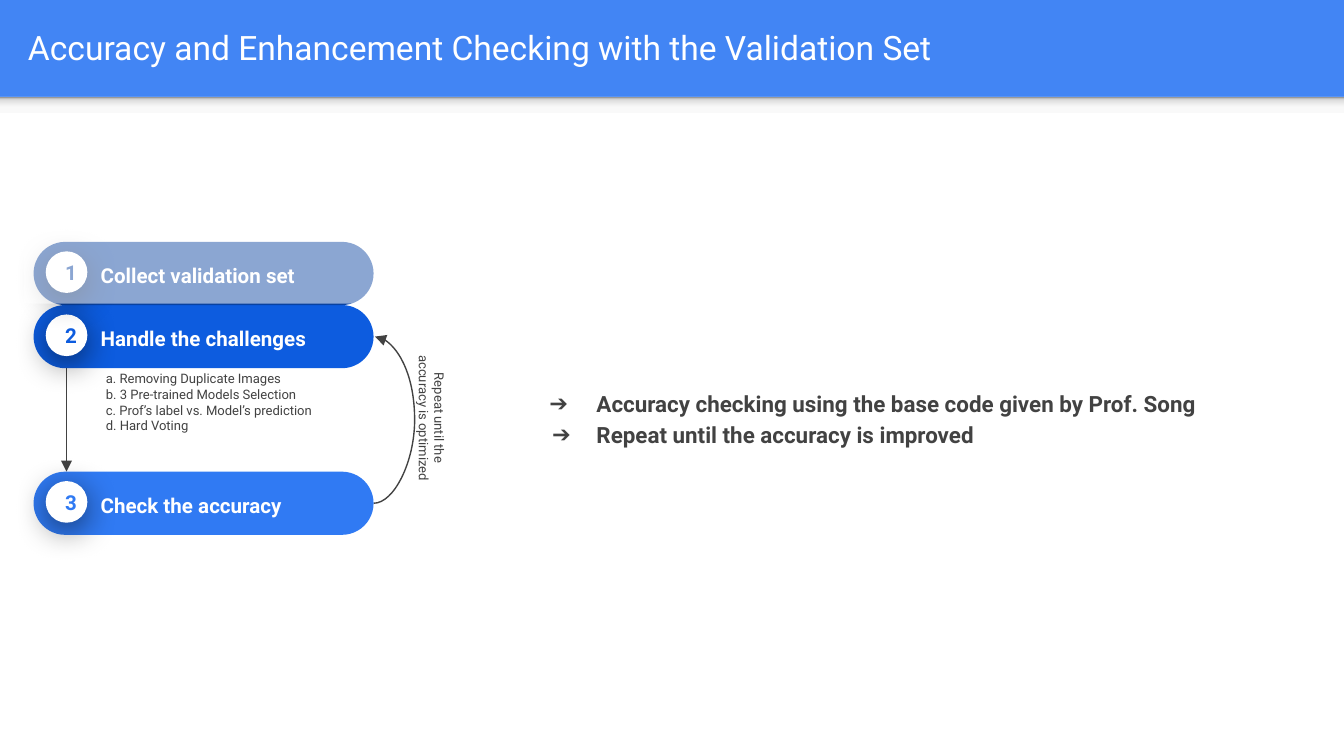
"""Build the validation-set accuracy slide: a three-step loop beside two key points."""
import pptx
import pptx.util
import pptx.dml.color
import pptx.enum.shapes
import pptx.enum.text
import pptx.oxml
import pptx.oxml.ns

RGB = pptx.dml.color.RGBColor
BLUE = RGB(0x42, 0x85, 0xF4)
WHITE = RGB(0xFF, 0xFF, 0xFF)
GRAY = RGB(0x42, 0x42, 0x42)
NAVY = RGB(0x09, 0x42, 0xA1)
ROYAL = RGB(0x0D, 0x5C, 0xDF)
SKY = RGB(0x30, 0x7A, 0xF3)
SHAPE = pptx.enum.shapes.MSO_SHAPE
CONNECTOR = pptx.enum.shapes.MSO_CONNECTOR
ALIGN = pptx.enum.text.PP_ALIGN
ANCHOR = pptx.enum.text.MSO_ANCHOR
IN, PT = pptx.util.Inches, pptx.util.Pt

W = 10
H = W * 9 / 16
HEADER_H = 0.72
TITLE = "Accuracy and Enhancement Checking with the Validation Set"
STEPS = [
    ("2", "Handle the challenges", ROYAL, 2.27),
    ("3", "Check the accuracy", SKY, 3.51),
    ("1", "Collect validation set", NAVY, 1.8),
]
CHALLENGES = [
    "a. Removing Duplicate Images",
    "b. 3 Pre-trained Models Selection",
    "c. Prof’s label vs. Model’s prediction",
    "d. Hard Voting",
]
LOOP_NOTE = "Repeat until the accuracy is optimized"
POINTS = [
    ("Accuracy checking using the base code given by Prof. Song", 0.35),
    ("Repeat until the accuracy is improved", 0.33),
]
SHADOW_STOPS = [(0, "F9F9F9"), (36, "F9F9F9"), (80, "DEDEDE"), (100, "999999")]
PILL_X, PILL_W, PILL_H = 0.25, 2.53, 0.47
DISC = 0.31
DISC_X, DISC_DY = 0.34, 0.07
BULGE = 0.31


def xml(body):
    return pptx.oxml.parse_xml(body.replace(" ", f" {pptx.oxml.ns.nsdecls('a')} ", 1))


def add_shape(s, kind, box, color):
    sp = s.shapes.add_shape(kind, *map(IN, box))
    sp.shadow.inherit = False
    sp.fill.solid()
    sp.fill.fore_color.rgb = color
    sp.line.fill.background()
    return sp


def set_frame(sp, anchor=ANCHOR.TOP):
    tf = sp.text_frame
    tf.word_wrap = True
    tf.vertical_anchor = anchor
    tf.margin_left = tf.margin_right = tf.margin_top = tf.margin_bottom = IN(0.1)
    return tf


def add_text(s, box, anchor=ANCHOR.TOP):
    sp = s.shapes.add_textbox(*map(IN, box))
    return sp, set_frame(sp, anchor)


def add_run(p, text, size, color, bold=False):
    r = p.add_run()
    r.text = text
    r.font.name, r.font.size, r.font.bold = "Roboto", PT(size), bold
    r.font.color.rgb = color


def add_arrow(s, kind, start, end):
    line = s.shapes.add_connector(kind, *map(IN, start + end))
    line.line.color.rgb = GRAY
    line.line.width = PT(0.75)
    line.line._get_or_add_ln().append(xml('<a:tailEnd type="triangle"/>'))
    line._element.spPr.append(xml("<a:effectLst />"))
    return line


def add_header(s):
    s.background.fill.solid()
    s.background.fill.fore_color.rgb = BLUE
    add_shape(s, SHAPE.RECTANGLE, (0, HEADER_H, W, H - HEADER_H), WHITE)
    strip = add_shape(s, SHAPE.RECTANGLE, (0, HEADER_H, W, 0.12), WHITE)
    strip.fill.gradient()
    stops = strip._element.spPr.find(pptx.oxml.ns.qn("a:gradFill")).gsLst
    for stop in list(stops):
        stops.remove(stop)
    for pos, color in SHADOW_STOPS:
        stops.append(xml(f'<a:gs pos="{pos * 1000}"><a:srgbClr val="{color}"/></a:gs>'))
    strip.fill.gradient_angle = 90
    tf = add_text(s, (0.11, 0.02, 9.65, 0.66), ANCHOR.MIDDLE)[1]
    add_run(tf.paragraphs[0], TITLE, 18, WHITE)


def add_points(s):
    tf = add_text(s, (3.84, 2.68, 6.04, 0.85), ANCHOR.MIDDLE)[1]
    for i, (text, hang) in enumerate(POINTS):
        p = tf.add_paragraph() if i else tf.paragraphs[0]
        p.line_spacing = 1.15
        pPr = p._p.get_or_add_pPr()
        pPr.set("marL", str(IN(0.5)))
        pPr.set("indent", str(-IN(hang)))
        pPr.append(xml(f'<a:buClr ><a:srgbClr val="{GRAY}"/></a:buClr>'))
        pPr.append(xml('<a:buFont typeface="Roboto"/>'))
        pPr.append(xml('<a:buChar char="➔"/>'))
        add_run(p, text, 12, GRAY, True)


def add_step(s, number, label, color, top):
    pill = add_shape(s, SHAPE.ROUNDED_RECTANGLE, (PILL_X, top, PILL_W, PILL_H), color)
    pill.adjustments[0] = 0.5
    disc_y = top + DISC_DY
    disc = add_shape(s, SHAPE.OVAL, (DISC_X, disc_y, DISC, DISC), WHITE)
    disc._element.spPr.find(pptx.oxml.ns.qn("a:effectLst")).append(xml(
        f'<a:outerShdw blurRad="{PT(18)}" dist="{PT(4)}" dir="5400000" algn="t" rotWithShape="0">'
        '<a:srgbClr val="000000"><a:alpha val="55000"/></a:srgbClr></a:outerShdw>'))
    p = set_frame(disc, ANCHOR.MIDDLE).paragraphs[0]
    p.alignment = ALIGN.CENTER
    add_run(p, number, 11, color, True)
    p = add_text(s, (0.65, disc_y, 1.95, 0.33), ANCHOR.MIDDLE)[1].paragraphs[0]
    p.line_spacing = 1.15
    add_run(p, label, 11, WHITE, True)


def add_notes(s):
    p = add_text(s, (0.69, 2.66, 2.13, 0.42))[1].paragraphs[0]
    for i, text in enumerate(CHALLENGES):
        if i:
            p.add_line_break()
        add_run(p, text, 7, GRAY)
    veil = add_shape(s, SHAPE.FLOWCHART_PROCESS, (0.18, 1.51, 2.63, 0.75), WHITE)
    veil.fill._xPr.find(pptx.oxml.ns.qn("a:solidFill"))[0].append(xml('<a:alpha val="53000"/>'))
    sp, tf = add_text(s, (2.61, 2.9, 1.22, 0.42))
    sp.rotation = 90
    p = tf.paragraphs[0]
    p.alignment = ALIGN.CENTER
    add_run(p, LOOP_NOTE, 7, GRAY)


def main():
    prs = pptx.Presentation()
    prs.slide_width, prs.slide_height = IN(W), IN(H)
    s = prs.slides.add_slide(prs.slide_layouts[6])
    add_header(s)
    add_points(s)
    second, third = STEPS[0][3], STEPS[1][3]
    disc_mid = DISC_X + DISC / 2
    add_arrow(s, CONNECTOR.STRAIGHT, (disc_mid, second + PILL_H), (disc_mid, third))
    right = PILL_X + PILL_W
    loop = add_arrow(s, CONNECTOR.CURVE, (right, third + PILL_H / 2),
                     (right + 0.01, second + PILL_H / 2))
    guides = loop._element.spPr.prstGeom.get_or_add_avLst()
    guides.append(xml(f'<a:gd name="adj1" fmla="val {round(BULGE / 0.01 * 100000)}"/>'))
    for step in STEPS:
        add_step(s, *step)
    add_notes(s)
    prs.save("out.pptx")


if __name__ == "__main__":
    main()
